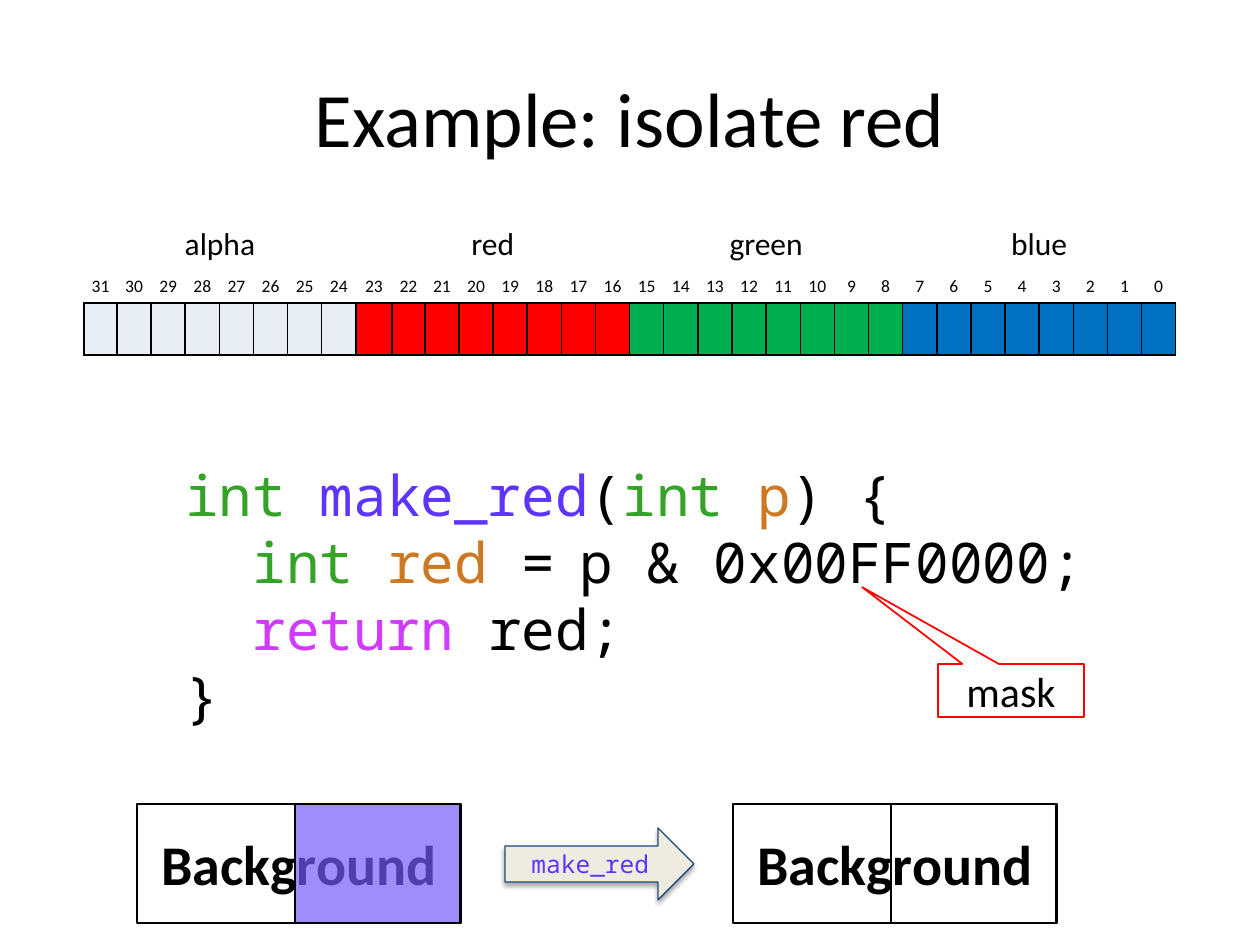
from lxml import etree
from pptx import Presentation
from pptx import util as u
from pptx.dml.color import RGBColor
from pptx.enum import shapes, text
from pptx.oxml import parse_xml
from pptx.oxml.ns import nsdecls, qn

SCALE = 914400 / 126
SANS, MONO = "Calibri", "Noto Sans Mono"
BLACK, WHITE, RED = "000000", "FFFFFF", "FF0000"
GREEN, VIOLET, ORANGE, PINK = "34A327", "5E34FF", "CD7923", "D03BFF"
MIDDLE, BOTTOM = text.MSO_ANCHOR.MIDDLE, text.MSO_ANCHOR.BOTTOM
LEFT, CENTER = text.PP_ALIGN.LEFT, text.PP_ALIGN.CENTER
SHAPE = shapes.MSO_SHAPE

CHANNELS = [("alpha", "E9EDF4"), ("red", RED), ("green", "00B050"), ("blue", "0070C0")]
BITS = 8
COLUMN_WIDTH, ODD_COLUMNS = 34.14, {0: 33, 8: 36, 9: 33}
ROW_HEIGHTS = [52, 32, 52]
CODE = [
    [("int ", GREEN), ("make_red", VIOLET), ("(", BLACK), ("int ", GREEN),
     ("p", ORANGE), (") {", BLACK)],
    [("  int ", GREEN), ("red", ORANGE), (" =", BLACK)],
    [("  return", PINK), (" red;", BLACK)],
    [("}", BLACK)],
]


def px(n):
    return u.Emu(round(n * SCALE))


def rgb(value):
    return RGBColor.from_string(value)


def write(tf, lines, size=18, font=SANS, color=BLACK, bold=False, align=LEFT):
    """Fill a text frame; lines is a string or a list of lists of (text, color)."""
    if isinstance(lines, str):
        lines = [[(lines, color)]]
    for i, runs in enumerate(lines):
        p = tf.paragraphs[0] if i == 0 else tf.add_paragraph()
        p.alignment = align
        for content, run_color in runs:
            r = p.add_run()
            r.text = content
            r.font.size, r.font.name, r.font.bold = u.Pt(size), font, bold
            r.font.color.rgb = rgb(run_color)


def add_text(s, box, lines, wrap=True, anchor=text.MSO_ANCHOR.TOP, **style):
    tf = s.shapes.add_textbox(*map(px, box)).text_frame
    tf.word_wrap, tf.vertical_anchor = wrap, anchor
    write(tf, lines, **style)


def add_shape(s, kind, box, line=BLACK, width=0.75, fill=None, label="", **style):
    sp = s.shapes.add_shape(kind, *map(px, box))
    sp.shadow.inherit = False
    sp.line.color.rgb, sp.line.width = rgb(line), u.Pt(width)
    if fill:
        sp.fill.solid()
        sp.fill.fore_color.rgb = rgb(fill)
    else:
        sp.fill.background()
    if label:
        sp.text_frame.vertical_anchor = MIDDLE
        write(sp.text_frame, label, align=CENTER, **style)
    return sp


def set_opacity(sp, percent):
    color = sp.fill._xPr.find(qn("a:solidFill"))[0]
    etree.SubElement(color, qn("a:alpha")).set("val", str(percent * 1000))


def add_shadow(sp, blur, distance, opacity):
    """Cast a black shadow straight down, in points and percent."""
    effects = sp._element.spPr.find(qn("a:effectLst"))
    effects.append(parse_xml(
        f'<a:outerShdw {nsdecls("a")} blurRad="{u.Pt(blur)}" dist="{u.Pt(distance)}" '
        f'dir="5400000" rotWithShape="0"><a:srgbClr val="{BLACK}">'
        f'<a:alpha val="{opacity * 1000}"/></a:srgbClr></a:outerShdw>'))


def format_cell(cell, sides, bottom, fill=None):
    """Set the fill and the 1 pt borders of a cell."""
    if fill:
        cell.fill.solid()
        cell.fill.fore_color.rgb = rgb(fill)
    else:
        cell.fill.background()
    tc_pr = cell._tc.get_or_add_tcPr()
    for i, (tag, color) in enumerate(
            [("lnL", sides), ("lnR", sides), ("lnT", sides), ("lnB", bottom)]):
        tc_pr.insert(i, parse_xml(
            f'<a:{tag} {nsdecls("a")} w="12700"><a:solidFill>'
            f'<a:srgbClr val="{color}"/></a:solidFill></a:{tag}>'))


def add_bit_table(s, left, top):
    count = BITS * len(CHANNELS)
    widths = [ODD_COLUMNS.get(i, COLUMN_WIDTH) for i in range(count)]
    table = s.shapes.add_table(len(ROW_HEIGHTS), count, px(left), px(top),
                               px(sum(widths)), px(sum(ROW_HEIGHTS))).table
    table.first_row = table.horz_banding = False
    for row, height in zip(table.rows, ROW_HEIGHTS):
        row.height = px(height)
    for i, width in enumerate(widths):
        table.columns[i].width = px(width)
        name, color = CHANNELS[i // BITS]
        heading, number, bit = (table.cell(row, i) for row in range(3))
        format_cell(heading, WHITE, WHITE)
        format_cell(number, WHITE, BLACK)
        format_cell(bit, BLACK, BLACK, color)
        if i % BITS == 0:
            heading.merge(table.cell(0, i + BITS - 1))
            write(heading.text_frame, name, align=CENTER)
        number.margin_left = number.margin_right = number.margin_top = 0
        number.vertical_anchor = BOTTOM
        write(number.text_frame, str(count - 1 - i), size=10, align=CENTER)


def add_pixel(s, left, fill=None):
    """Draw the word Background with a pane over its right half."""
    add_shape(s, SHAPE.RECTANGLE, (left, 804, 324, 119), label="Background",
              size=32, bold=True)
    return add_shape(s, SHAPE.RECTANGLE, (left + 158, 804, 165, 119), fill=fill)


def main():
    prs = Presentation()
    prs.slide_width, prs.slide_height = px(1260), px(945)
    s = prs.slides.add_slide(prs.slide_layouts[6])

    add_text(s, (63, 38, 1134, 157), "Example: isolate red",
             anchor=MIDDLE, size=44, align=CENTER)
    add_text(s, (173, 454, 834, 285), CODE, size=32, font=MONO)
    add_bit_table(s, 84, 219)
    add_text(s, (567, 521, 535, 81), "p & 0x00FF0000;", wrap=False, size=32, font=MONO)

    set_opacity(add_pixel(s, 137, fill="735AF9"), 69)
    add_pixel(s, 733)
    arrow = add_shape(s, SHAPE.RIGHT_ARROW, (505, 828, 189, 72), line="1F497D",
                      fill="EEECE1", label="make_red", size=14, font=MONO, color=VIOLET)
    add_shadow(arrow, blur=3.1, distance=1.8, opacity=35)

    callout = add_shape(s, SHAPE.RECTANGULAR_CALLOUT, (938, 664, 146, 53),
                        line=RED, width=1, label="mask", size=24)
    callout.adjustments[0], callout.adjustments[1] = -1.02, -1.95

    prs.save("out.pptx")


if __name__ == "__main__":
    main()
